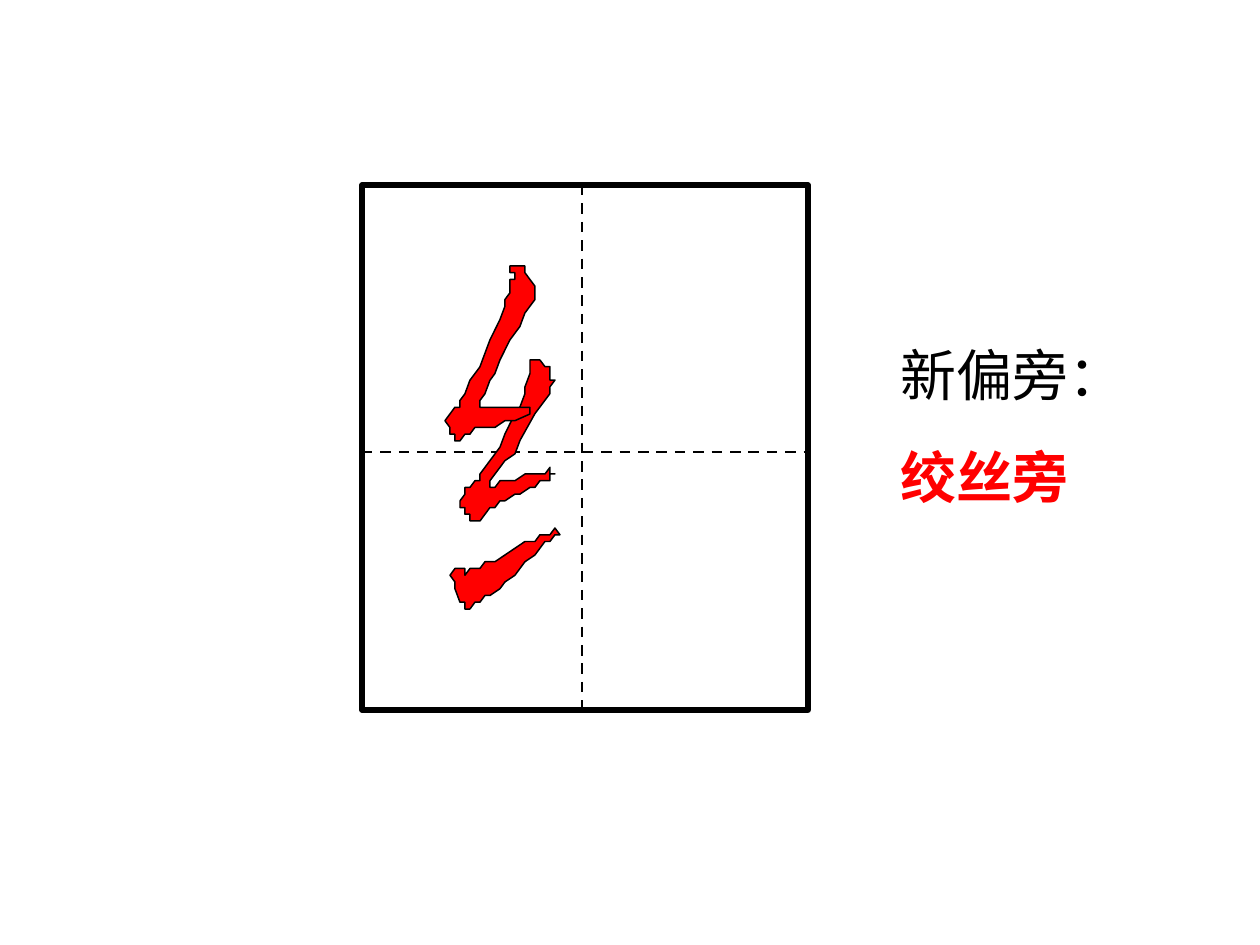
from lxml import etree
from pptx import Presentation
from pptx.dml.color import RGBColor
from pptx.enum.dml import MSO_LINE
from pptx.enum.shapes import MSO_CONNECTOR, MSO_SHAPE
from pptx.oxml.ns import qn
from pptx.util import Pt

PX = 914400 // 126
RECT = MSO_SHAPE.RECTANGLE
STRAIGHT = MSO_CONNECTOR.STRAIGHT
DASH = MSO_LINE.DASH
FONT = "Arial"
COLORS = {"ink": "000000", "paper": "FFFFFF", "red": "FF0000"}

LOWER_FOLD = [
    (15, 8), (12, 12), (11, 14), (9, 15), (6, 18), (6, 19), (7, 19), (8, 18),
    (11, 18), (13, 17), (17, 17), (18, 16), (18, 17), (19, 17), (18, 17),
    (18, 18), (16, 18), (15, 19), (14, 19), (12, 20), (11, 20), (9, 21),
    (8, 21), (7, 22), (6, 22), (4, 24), (2, 24), (2, 23), (1, 23), (1, 22),
    (0, 22), (0, 21), (1, 20), (1, 19), (2, 19), (3, 18), (4, 18), (4, 17),
    (8, 13), (9, 11), (11, 8), (12, 7), (13, 5), (13, 4), (14, 2), (14, 0),
    (16, 0), (17, 1), (18, 1), (18, 3), (19, 3), (18, 4), (18, 5), (17, 6),
]
RISING_STROKE = [
    (13, 7), (11, 8), (10, 9), (8, 10), (7, 10), (6, 11), (5, 11), (4, 12),
    (3, 12), (3, 11), (2, 11), (1, 9), (1, 8), (0, 7), (1, 6), (3, 6), (3, 7),
    (4, 6), (6, 6), (7, 5), (9, 5), (15, 2), (17, 2), (18, 1), (20, 1),
    (21, 0), (22, 1), (21, 1), (20, 2), (19, 2), (17, 4), (15, 5),
]
UPPER_FOLD = [
    (0, 23), (2, 21), (3, 21), (3, 20), (4, 19), (5, 17), (7, 15), (8, 13),
    (9, 11), (11, 8), (12, 6), (12, 5), (13, 4), (13, 2), (14, 2), (14, 1),
    (13, 1), (13, 0), (16, 0), (16, 1), (18, 3), (18, 5), (16, 7), (15, 9),
    (13, 11), (11, 14), (10, 16), (9, 17), (8, 19), (7, 20), (7, 21), (17, 21),
    (17, 22), (14, 23), (12, 23), (10, 24), (6, 24), (5, 25), (4, 25), (3, 26),
    (2, 26), (2, 25), (1, 25), (1, 24),
]
STROKES = [
    ((98, 175, 95, 161), LOWER_FOLD),
    ((88, 343, 110, 81), RISING_STROKE),
    ((83, 81, 90, 175), UPPER_FOLD),
]


def rgb(name):
    """Return the named colour."""
    return RGBColor.from_string(COLORS[name])


def paint(sp, fill, width):
    """Give a shape a plain fill and an ink outline."""
    sp.shadow.inherit = False
    sp.fill.solid()
    sp.fill.fore_color.rgb = rgb(fill)
    sp.line.color.rgb = rgb("ink")
    sp.line.width = Pt(width)


def add_guide(s, x1, y1, x2, y2):
    """Draw one dashed guide line."""
    line = s.shapes.add_connector(STRAIGHT, x1 * PX, y1 * PX, x2 * PX, y2 * PX)
    line.line.color.rgb = rgb("ink")
    line.line.width = Pt(1.5)
    line.line.dash_style = DASH
    etree.SubElement(line._element.spPr, qn("a:effectLst"))


def add_practice_grid(s, x, y, w, h):
    """Draw the writing square with its two guides."""
    sp = s.shapes.add_shape(RECT, x * PX, y * PX, w * PX, h * PX)
    paint(sp, "paper", 3)
    add_guide(s, x, y + 267, x + w, y + 267)
    add_guide(s, x + 220, y, x + 220, y + h)


def add_stroke(s, x, y, w, h, points):
    """Fit one brush stroke, given in lattice steps, into a box."""
    cols, rows = (max(axis) for axis in zip(*points))
    fb = s.shapes.build_freeform(*points[0], scale=(w * PX / cols, h * PX / rows))
    fb.add_line_segments(points[1:], close=True)
    paint(fb.convert_to_shape(x * PX, y * PX), "red", 0.85)


def add_radical(s, x, y):
    """Draw the three strokes of the radical from the square's corner."""
    for (dx, dy, w, h), points in STROKES:
        add_stroke(s, x + dx, y + dy, w, h, points)


def add_label(s, x, y, w, h):
    """Write the heading and the name of the radical."""
    tf = s.shapes.add_textbox(x * PX, y * PX, w * PX, h * PX).text_frame
    tf.word_wrap = True
    tf.text = "新偏旁：\n绞丝旁"
    for p, color in zip(tf.paragraphs, ("ink", "red")):
        p.font.name = FONT
        for r in p.runs:
            r.font.name = FONT
            r.font.size = Pt(32)
            r.font.color.rgb = rgb(color)
            r.font.bold = color == "red"
    p.space_before = Pt(20)


def main():
    """Build and save the slide."""
    prs = Presentation()
    prs.slide_width = 1260 * PX
    prs.slide_height = 945 * PX
    s = prs.slides.add_slide(prs.slide_layouts[6])
    add_practice_grid(s, 362, 185, 446, 525)
    add_radical(s, 362, 185)
    add_label(s, 888, 334, 328, 183)
    prs.save("out.pptx")


if __name__ == "__main__":
    main()
